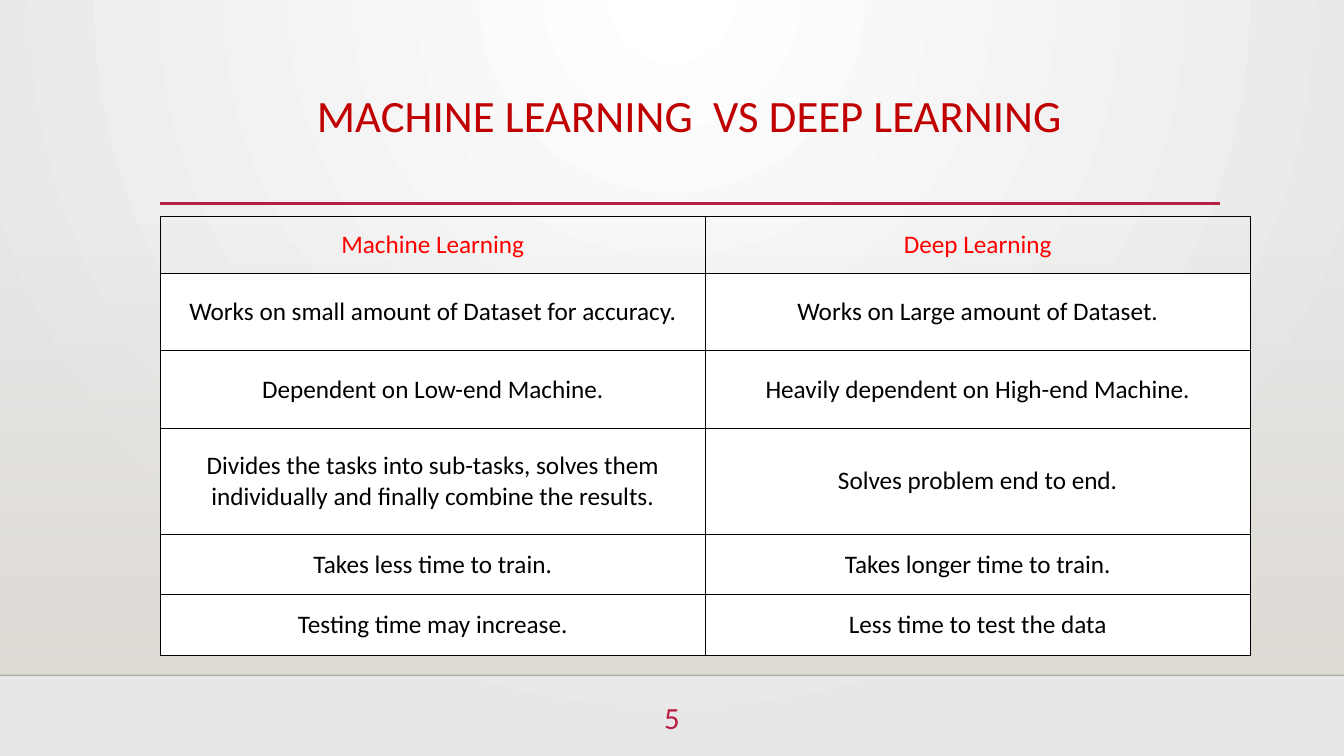
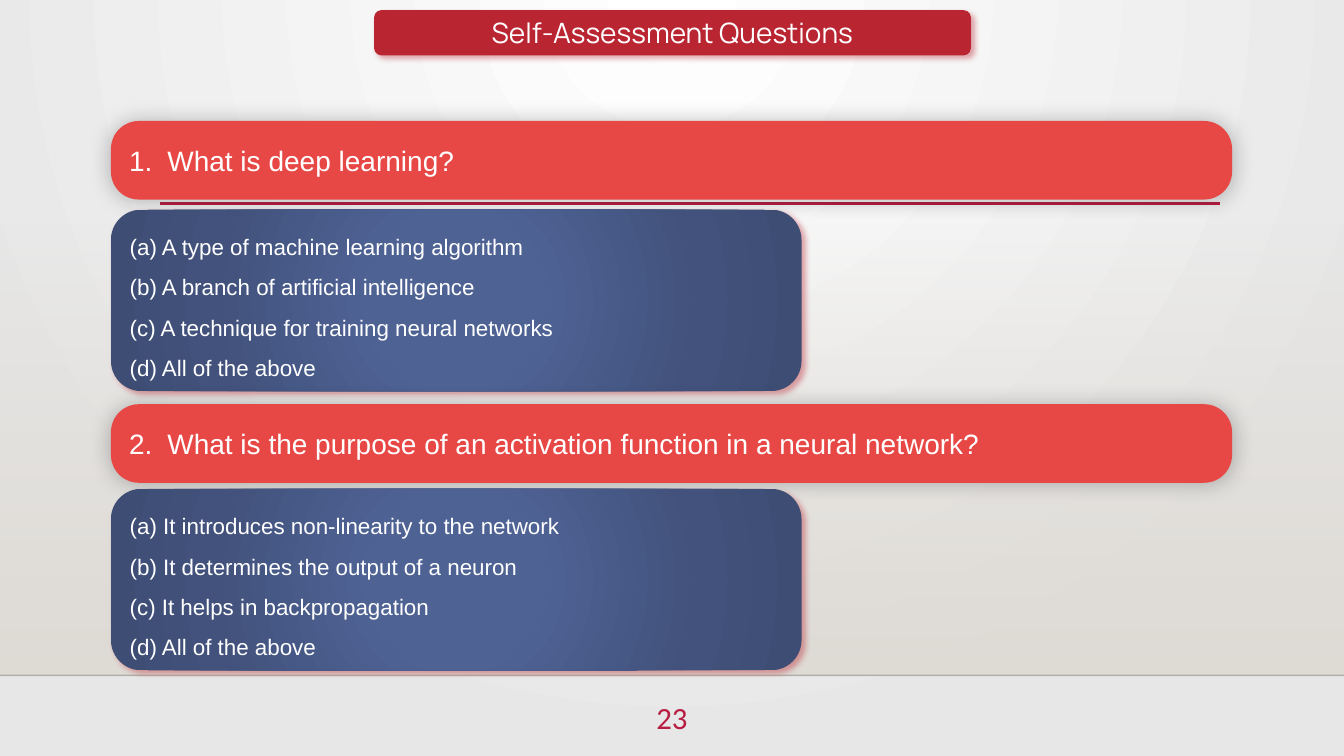
from lxml import etree
from pptx import Presentation
from pptx.dml.color import RGBColor
from pptx.enum.shapes import MSO_CONNECTOR, MSO_SHAPE
from pptx.enum.text import MSO_ANCHOR, PP_ALIGN
from pptx.oxml import parse_xml
from pptx.oxml.ns import nsdecls, qn
from pptx.util import Inches, Pt

WIDTH, HEIGHT = 13.33, 7.5
FOOTER_TOP = 6.7
MARGIN = 1.59

WHITE = RGBColor(0xFF, 0xFF, 0xFF)
BLACK = RGBColor(0x00, 0x00, 0x00)
PALE_GREY = RGBColor(0xE7, 0xE7, 0xE7)
SAND = RGBColor(0xDF, 0xDB, 0xD5)
HAIRLINE = RGBColor(0x00, 0x00, 0x01)
CRIMSON = RGBColor(0xB7, 0x1E, 0x42)
DARK_RED = RGBColor(0xC0, 0x00, 0x00)
RED = RGBColor(0xFF, 0x00, 0x00)
BANNER_RED = RGBColor(0xBA, 0x25, 0x32)
CORAL = RGBColor(0xE8, 0x48, 0x45)
BLUE = RGBColor(0x4E, 0x62, 0x94)
MID_BLUE = RGBColor(0x42, 0x52, 0x7C)
DEEP_BLUE = RGBColor(0x3E, 0x4D, 0x74)

RECT = MSO_SHAPE.RECTANGLE
ROUND_RECT = MSO_SHAPE.ROUNDED_RECTANGLE
STRAIGHT = MSO_CONNECTOR.STRAIGHT
LEFT, CENTER = PP_ALIGN.LEFT, PP_ALIGN.CENTER
TOP, MIDDLE = MSO_ANCHOR.TOP, MSO_ANCHOR.MIDDLE

CENTRE_PATH = '<a:path path="circle"><a:fillToRect l="50000" t="50000" r="50000" b="50000"/></a:path>'
TOP_PATH = '<a:path path="circle"><a:fillToRect l="43000" t="0" r="43000" b="100000"/></a:path>'
DOWNWARD = '<a:lin ang="5400000" scaled="0"/>'

# colour, opacity %, blur pt, distance pt, angle
RED_SHADOW = (BANNER_RED, 40, 4, 3, 45)
SOFT_SHADOW = (BLACK, 25, 15, 0, 0)

COMPARISON = [
    ("Machine Learning", "Deep Learning"),
    ("Works on small amount of Dataset for accuracy.", "Works on Large amount of Dataset."),
    ("Dependent on Low-end Machine.", "Heavily dependent on High-end Machine."),
    ("Divides the tasks into sub-tasks, solves them individually and finally combine the results.",
     "Solves problem end to end."),
    ("Takes less time to train.", "Takes longer time to train."),
    ("Testing time may increase.", "Less time to test the data"),
]
ROW_HEIGHTS = [0.56, 0.77, 0.77, 1.05, 0.6, 0.6]

# top of question, top of answers, question, answers
QUESTIONS = [
    (1.2, 2.08, "What is deep learning?",
     ["(a) A type of machine learning algorithm",
      "(b) A branch of artificial intelligence",
      "(c) A technique for training neural networks",
      "(d) All of the above"]),
    (4.01, 4.85, "What is the purpose of an activation function in a neural network?",
     ["(a) It introduces non-linearity to the network",
      "(b) It determines the output of a neuron",
      "(c) It helps in backpropagation",
      "(d) All of the above"]),
]


def color_xml(color, opacity=100):
    return f'<a:srgbClr val="{color}"><a:alpha val="{opacity * 1000}"/></a:srgbClr>'


def set_gradient(props, stops, direction):
    """Replace the solid fill in props by (position, colour, opacity) stops."""
    stop_xml = "".join(f'<a:gs pos="{pos * 1000}">{color_xml(color, opacity)}</a:gs>'
                       for pos, color, opacity in stops)
    props.replace(props.find(qn("a:solidFill")), parse_xml(
        f'<a:gradFill {nsdecls("a")} rotWithShape="1"><a:gsLst>{stop_xml}</a:gsLst>'
        f'{direction}</a:gradFill>'))


def write_text(tf, lines, *, font, size, color, align=LEFT, anchor=TOP, spacing=None, number=None):
    """Fill a text frame; number gives each paragraph a list number from there on."""
    tf.word_wrap = True
    tf.vertical_anchor = anchor
    for i, line in enumerate(lines):
        p = tf.paragraphs[0] if i == 0 else tf.add_paragraph()
        p.alignment = align
        if spacing:
            p.line_spacing = spacing
        if number:
            pPr = p._p.get_or_add_pPr()
            pPr.set("marL", str(Inches(0.38)))
            pPr.set("indent", str(-Inches(0.38)))
            etree.SubElement(pPr, qn("a:buFont"), typeface="+mj-lt")
            etree.SubElement(pPr, qn("a:buAutoNum"), type="arabicPeriod", startAt=str(number))
        r = p.add_run()
        r.text = line
        r.font.name, r.font.size, r.font.color.rgb = font, Pt(size), color


def add_text(s, box, text, **fmt):
    sp = s.shapes.add_textbox(*map(Inches, box))
    write_text(sp.text_frame, [text], **fmt)


def add_panel(s, shape, box, color, shadow=None, radius=None):
    sp = s.shapes.add_shape(shape, *map(Inches, box))
    sp.fill.solid()
    sp.fill.fore_color.rgb = color
    sp.line.fill.background()
    sp.shadow.inherit = False
    if radius:
        sp.adjustments[0] = radius
    if shadow:
        tint, opacity, blur, distance, angle = shadow
        sp.element.spPr.find(qn("a:effectLst")).append(parse_xml(
            f'<a:outerShdw {nsdecls("a")} blurRad="{Pt(blur)}" dist="{Pt(distance)}" '
            f'dir="{angle * 60000}" algn="ctr" rotWithShape="0">{color_xml(tint, opacity)}'
            '</a:outerShdw>'))
    return sp


def add_rule(s, left, right, y, color, width, opacity=100):
    line = s.shapes.add_connector(STRAIGHT, Inches(left), Inches(y), Inches(right), Inches(y))
    line.line.color.rgb = color
    line.line.width = Pt(width)
    spPr = line._element.spPr
    etree.SubElement(spPr.find(".//" + qn("a:srgbClr")), qn("a:alpha"), val=str(opacity * 1000))
    etree.SubElement(spPr, qn("a:effectLst"))


def add_framed_slide(prs, page):
    """Blank slide with the shared background, rules and page number."""
    s = prs.slides.add_slide(prs.slide_layouts[6])
    s.background.fill.solid()
    set_gradient(s.element.find(".//" + qn("p:bgPr")),
                 [(0, WHITE, 100), (100, PALE_GREY, 100)], TOP_PATH)
    band = add_panel(s, RECT, (0, 2.21, WIDTH, FOOTER_TOP - 2.21), SAND)
    set_gradient(band.element.spPr, [(0, SAND, 0), (100, SAND, 100)], DOWNWARD)
    add_rule(s, 0, WIDTH, FOOTER_TOP, HAIRLINE, 1, opacity=20)
    add_rule(s, MARGIN, 12.1, 2.02, CRIMSON, 2.5)
    add_text(s, (6.22, 6.88, 0.89, 0.55), str(page),
             font="Calibri", size=22, color=CRIMSON, align=CENTER)
    return s


def style_cell(cell, text, is_header):
    inset_x, inset_y = (0.08, 0.08) if is_header else (0.1, 0.15)
    cell.margin_left = cell.margin_right = Inches(inset_x)
    cell.margin_top = cell.margin_bottom = Inches(inset_y)
    write_text(cell.text_frame, [text], font="Calibri", size=18,
               color=RED if is_header else BLACK, align=CENTER)
    cell.vertical_anchor = MIDDLE
    if is_header:
        cell.fill.background()
    else:
        cell.fill.solid()
        cell.fill.fore_color.rgb = WHITE
    tcPr = cell._tc.get_or_add_tcPr()
    for i, side in enumerate("LRTB"):
        tcPr.insert(i, parse_xml(
            f'<a:ln{side} {nsdecls("a")} w="{Pt(1)}"><a:solidFill>{color_xml(BLACK)}'
            f'</a:solidFill></a:ln{side}>'))


def add_comparison_table(s, left, top, width):
    rows, cols = len(COMPARISON), len(COMPARISON[0])
    table = s.shapes.add_table(rows, cols, Inches(left), Inches(top), Inches(width),
                               Inches(sum(ROW_HEIGHTS))).table
    table.first_row = table.horz_banding = False
    for col in table.columns:
        col.width = Inches(width / cols)
    for i, (texts, height) in enumerate(zip(COMPARISON, ROW_HEIGHTS)):
        table.rows[i].height = Inches(height)
        for j, text in enumerate(texts):
            style_cell(table.cell(i, j), text, is_header=i == 0)


def add_question(s, left, top, answers_top, number, question, answers):
    bar = add_panel(s, ROUND_RECT, (left, top, 11.12, 0.78), CORAL, SOFT_SHADOW, radius=0.356)
    write_text(bar.text_frame, [question], font="Arial", size=20, color=WHITE,
               anchor=MIDDLE, number=number)
    panel = add_panel(s, ROUND_RECT, (left, answers_top, 6.85, 1.8), BLUE, RED_SHADOW)
    set_gradient(panel.element.spPr, [(0, BLUE, 100), (23, BLUE, 100), (69, MID_BLUE, 100),
                                      (97, DEEP_BLUE, 100)], CENTRE_PATH)
    write_text(panel.text_frame, answers, font="Arial", size=16, color=WHITE,
               anchor=MIDDLE, spacing=1.5)


def build_comparison_slide(prs):
    s = add_framed_slide(prs, 5)
    add_text(s, (MARGIN, 0.88, 10.5, 1.15), "MACHINE LEARNING  VS DEEP LEARNING",
             font="Calibri", size=32, color=DARK_RED, align=CENTER, spacing=0.9)
    add_comparison_table(s, MARGIN, 2.15, 10.81)


def build_questions_slide(prs):
    s = add_framed_slide(prs, 23)
    banner = add_panel(s, ROUND_RECT, (3.71, 0.1, 5.92, 0.45), BANNER_RED, RED_SHADOW)
    write_text(banner.text_frame, ["Self-Assessment Questions"], font="Manrope", size=20,
               color=WHITE, align=CENTER, anchor=MIDDLE)
    for number, (top, answers_top, question, answers) in enumerate(QUESTIONS, 1):
        add_question(s, 1.1, top, answers_top, number, question, answers)


def main():
    prs = Presentation()
    prs.slide_width, prs.slide_height = Inches(WIDTH), Inches(HEIGHT)
    build_comparison_slide(prs)
    build_questions_slide(prs)
    prs.save("out.pptx")


if __name__ == "__main__":
    main()
